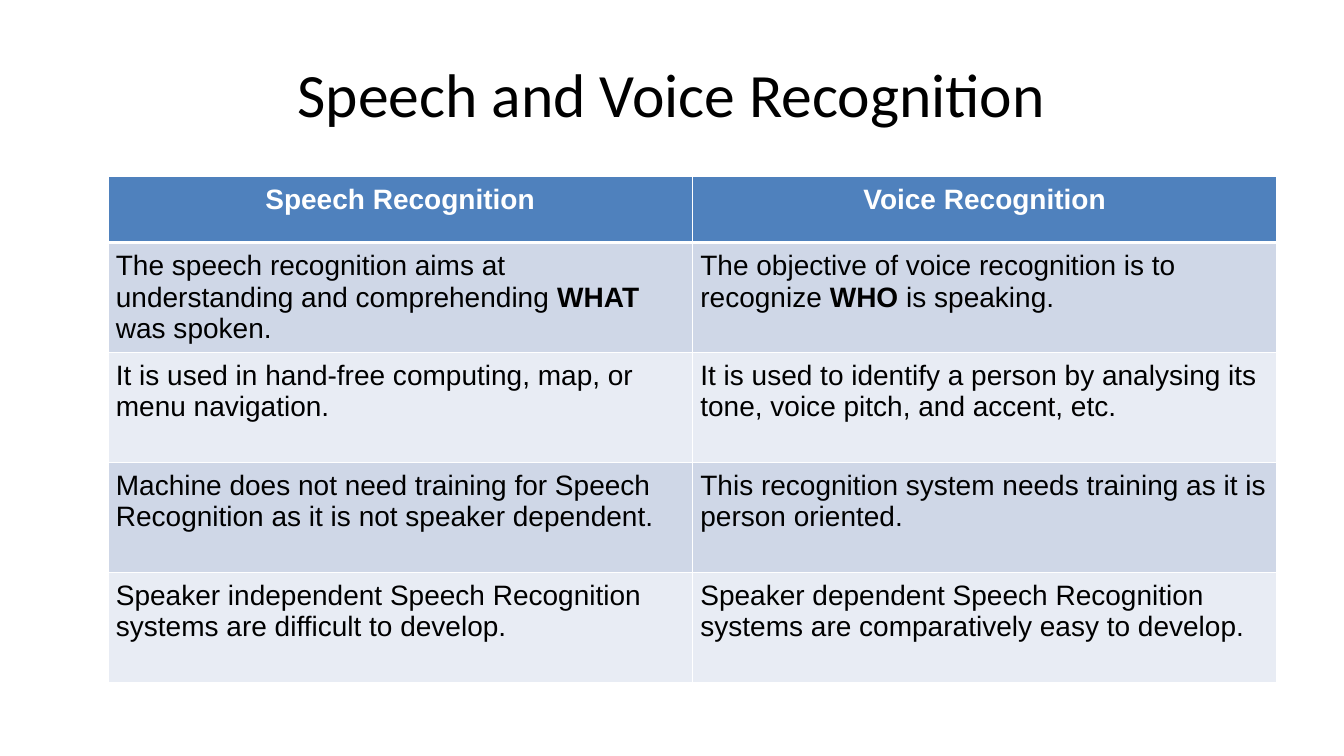
from lxml.etree import SubElement
from pptx import Presentation
from pptx.dml.color import RGBColor
from pptx.enum.text import MSO_ANCHOR as Anchor, MSO_AUTO_SIZE as AutoSize, PP_ALIGN as Align
from pptx.oxml.ns import qn
from pptx.util import Cm, Pt

BLACK = RGBColor(0x00, 0x00, 0x00)
WHITE = RGBColor(0xFF, 0xFF, 0xFF)
HEADER_BLUE = RGBColor(0x4F, 0x81, 0xBD)
BAND_DARK = RGBColor(0xCF, 0xD7, 0xE7)
BAND_LIGHT = RGBColor(0xE8, 0xEC, 0xF4)

TITLE = "Speech and Voice Recognition"
HEADINGS = ("Speech Recognition", "Voice Recognition")
COMPARISON = [
    ("The speech recognition aims at understanding and comprehending *WHAT* was spoken.",
     "The objective of voice recognition is to recognize *WHO* is speaking."),
    ("It is used in hand-free computing, map, or menu navigation.",
     "It is used to identify a person by analysing its tone, voice pitch, and accent, etc."),
    ("Machine does not need training for Speech Recognition as it is not speaker dependent.",
     "This recognition system needs training as it is person oriented."),
    ("Speaker independent Speech Recognition systems are difficult to develop.",
     "Speaker dependent Speech Recognition systems are comparatively easy to develop."),
]

COLUMN_WIDTH = Cm(14.73)
HEADER_HEIGHT = Cm(1.66)
ROW_HEIGHT = Cm(2.77)
CELL_MARGIN = Cm(0.2)


def write_text(frame, text, font="Arial", size=20, color=BLACK, bold=False, align=Align.LEFT):
    """Write one paragraph; words between asterisks are bold."""
    paragraph = frame.paragraphs[0]
    paragraph.alignment = align
    for index, part in enumerate(text.split("*")):
        run = paragraph.add_run()
        run.text = part
        run.font.name = font
        run.font.size = Pt(size)
        run.font.bold = bold or index % 2 == 1
        run.font.color.rgb = color


def set_borders(cell, bottom=1):
    """Draw white cell borders, with the bottom width in points."""
    properties = cell._tc.get_or_add_tcPr()
    widths = {"a:lnL": 1, "a:lnR": 1, "a:lnT": 1, "a:lnB": bottom}
    for position, (tag, width) in enumerate(widths.items()):
        line = SubElement(properties, qn(tag), w=str(Pt(width)))
        fill = SubElement(line, qn("a:solidFill"))
        SubElement(fill, qn("a:srgbClr"), val=str(WHITE))
        properties.insert(position, line)


def format_cell(cell, text, fill, bottom=1, **text_format):
    cell.margin_left = cell.margin_right = CELL_MARGIN
    cell.margin_top = cell.margin_bottom = CELL_MARGIN
    cell.fill.solid()
    cell.fill.fore_color.rgb = fill
    set_borders(cell, bottom)
    write_text(cell.text_frame, text, **text_format)


def add_title(slide, text):
    title = slide.shapes.title
    title.left, title.top, title.width, title.height = Cm(1.69), Cm(0.76), Cm(30.48), Cm(3.18)
    frame = title.text_frame
    frame.auto_size = AutoSize.NONE
    frame.vertical_anchor = Anchor.MIDDLE
    write_text(frame, text, font="Calibri", size=44, align=Align.CENTER)


def add_comparison_table(slide, headings, rows):
    height = HEADER_HEIGHT + ROW_HEIGHT * len(rows)
    table = slide.shapes.add_table(len(rows) + 1, len(headings), Cm(2.72), Cm(4.45),
                                   COLUMN_WIDTH * len(headings), height).table
    for column in table.columns:
        column.width = COLUMN_WIDTH
    table.rows[0].height = HEADER_HEIGHT
    for column, heading in enumerate(headings):
        format_cell(table.cell(0, column), heading, HEADER_BLUE, bottom=3,
                    color=WHITE, bold=True, align=Align.CENTER)
    for number, texts in enumerate(rows, start=1):
        table.rows[number].height = ROW_HEIGHT
        band = BAND_DARK if number % 2 else BAND_LIGHT
        for column, text in enumerate(texts):
            format_cell(table.cell(number, column), text, band)


def main():
    presentation = Presentation()
    presentation.slide_width, presentation.slide_height = Cm(33.87), Cm(19.05)
    slide = presentation.slides.add_slide(presentation.slide_layouts[5])
    add_title(slide, TITLE)
    add_comparison_table(slide, HEADINGS, COMPARISON)
    presentation.save("out.pptx")


if __name__ == "__main__":
    main()
